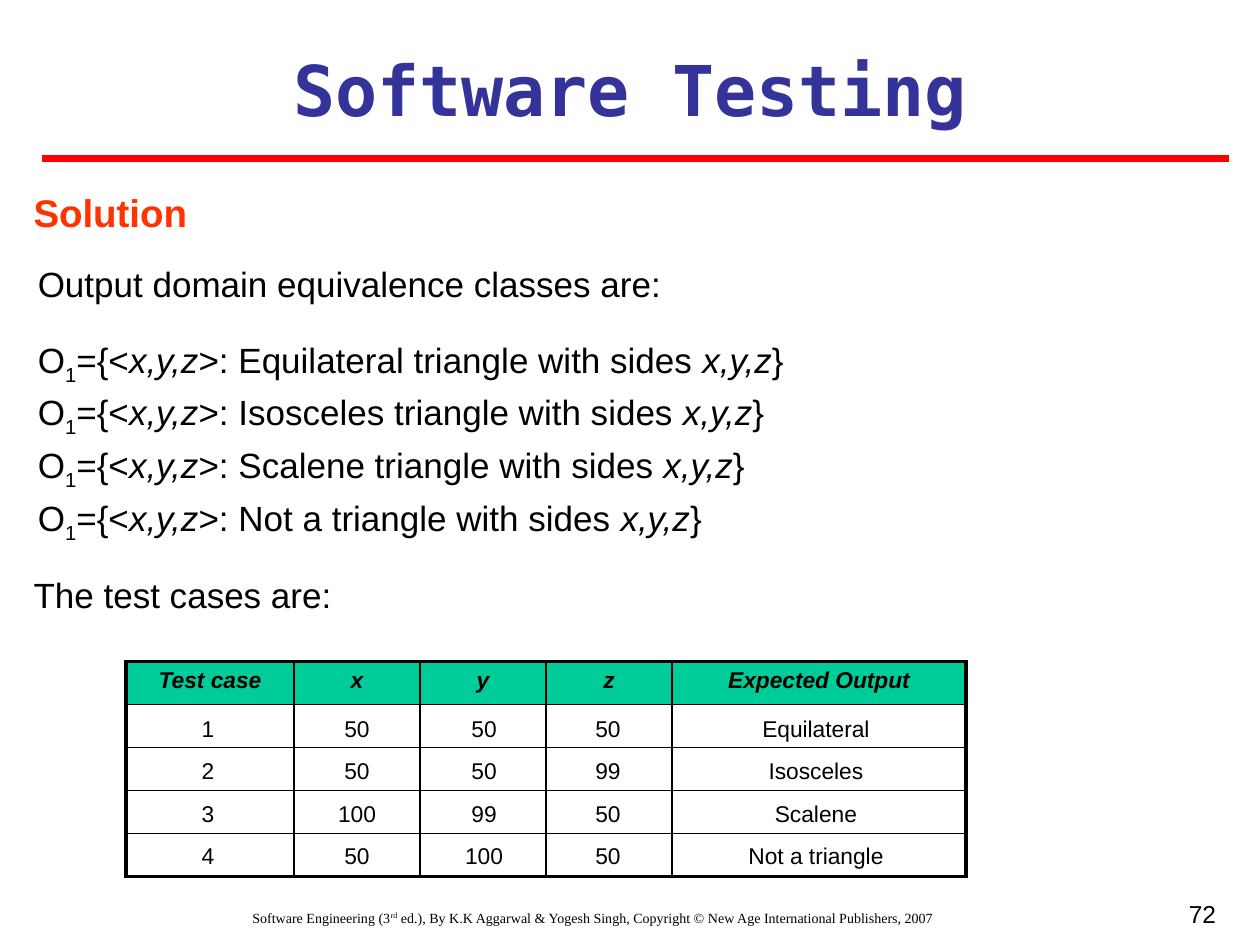
from lxml import etree
from pptx import Presentation, util as u
from pptx.dml.color import RGBColor
from pptx.enum import shapes, text
from pptx.oxml.ns import qn

BLACK = RGBColor(0x00, 0x00, 0x00)
BLUE = RGBColor(0x33, 0x33, 0x99)
RED = RGBColor(0xFF, 0x00, 0x00)
ORANGE = RGBColor(0xFF, 0x33, 0x00)
GREEN = RGBColor(0x00, 0xCC, 0x99)
LEFT, MID, RIGHT = text.PP_ALIGN.LEFT, text.PP_ALIGN.CENTER, text.PP_ALIGN.RIGHT

deck = Presentation()
deck.slide_width, deck.slide_height = u.Inches(10), u.Inches(7.5)
UNIT = deck.slide_width / 120  # the slide is a grid of 120 columns and 90 rows


def grid(*marks):
    return [round(mark * UNIT) for mark in marks]


def write(para, runs, size, color=BLACK, font="Arial", align=LEFT, bold=False):
    """Add (text, style) runs; a style is "", "i", or a baseline shift in percent."""
    para.alignment = align
    for words, style in runs:
        run = para.add_run()
        run.text = words
        run.font.size, run.font.name = u.Pt(size), font
        run.font.color.rgb = color
        run.font.bold, run.font.italic = bold, style == "i"
        if isinstance(style, int):
            run.font._element.set("baseline", str(style * 1000))


slide = deck.slides.add_slide(deck.slide_layouts[5])

# Title
title = slide.shapes.title
title.left, title.top, title.width, title.height = grid(4, 3.8, 112, 9.2)
frame = title.text_frame
frame.vertical_anchor = text.MSO_ANCHOR.TOP
frame.auto_size = text.MSO_AUTO_SIZE.SHAPE_TO_FIT_TEXT
write(frame.paragraphs[0], [("Software Testing", "")], 40, BLUE,
      "DejaVu Sans Mono", MID, True)

# Rule under the title
rule = slide.shapes.add_connector(shapes.MSO_CONNECTOR.STRAIGHT, *grid(4, 15.1, 117, 15.1))
rule.line.color.rgb, rule.line.width = RED, u.Pt(4.5)
etree.SubElement(rule._element.spPr, qn("a:effectLst"))

# Footer and page number
foot = [("Software Engineering (3", ""), ("rd", 30),
        (" ed.), By K.K Aggarwal & Yogesh Singh, Copyright © "
         "New Age International Publishers, 2007", "")]
for place, runs, size, font, align in (
    ((3, 86, 107, 4), foot, 8, "Times New Roman", MID),
    ((89, 85, 28, 7), [("72", "")], 14, "Arial", RIGHT),
):
    frame = slide.shapes.add_textbox(*grid(*place)).text_frame
    frame.word_wrap = True
    write(frame.paragraphs[0], runs, size, BLACK, font, align)

# Body lines and table values: place, paragraphs, size, colour, alignment, bold
kinds = ("Equilateral", "Isosceles", "Scalene", "Not a triangle")
domains = [
    [("O", ""), ("1", -25), ("={<", ""), ("x,y,z", "i"),
     (f">: {kind} triangle with sides " if kind != kinds[-1]
      else f">: {kind} with sides ", ""),
     ("x,y,z", "i"), ("}", "")]
    for kind in kinds
]
boxes = [
    ((3.2, 18, 111.4, 4.4), [[("Solution", "")]], 22, ORANGE, LEFT, True),
    ((3.6, 25, 111.4, 4), [[("Output domain equivalence classes are:", "")]],
     20, BLACK, LEFT, False),
    ((3.6, 33, 111.4, 17.2), domains, 20, BLACK, LEFT, False),
    ((3.2, 54.6, 111.4, 4), [[("The test cases are:", "")]], 20, BLACK, LEFT, False),
]
sides = ((50, 50, 50), (50, 50, 99), (100, 99, 50), (50, 100, 50))
spots = ((15.3, 9), (29.5, 9), (41.6, 9), (53.4, 9), (65.9, 23.6))
for row, (kind, trio) in enumerate(zip(kinds, sides)):
    for (left, width), value in zip(spots, (row + 1, *trio, kind)):
        boxes.append(((left, 68.05 + 4.05 * row, width, 2.6), [[(str(value), "")]],
                      13, BLACK, MID, False))

# Table grid with its header row
cols, rows = (16, 12, 12, 12, 28), 5
table = slide.shapes.add_table(rows, len(cols), *grid(12, 63, sum(cols), 4.1 * rows)).table
table.first_row = table.horz_banding = False
heads = ("Test case", "x", "y", "z", "Expected Output")
for col, width in zip(table.columns, grid(*cols)):
    col.width = width
for y in range(rows):
    for x in range(len(cols)):
        cell = table.cell(y, x)
        edges = {"L": x == 0, "R": x == len(cols) - 1, "T": y == 0, "B": y == rows - 1}
        props = cell._tc.get_or_add_tcPr()
        for side, outer in edges.items():
            line = etree.SubElement(props, qn(f"a:ln{side}"), w=str(u.Pt(2.25 if outer else 1)))
            fill = etree.SubElement(line, qn("a:solidFill"))
            etree.SubElement(fill, qn("a:srgbClr"), val=str(BLACK))
        if y == 0:
            cell.fill.solid()
            cell.fill.fore_color.rgb = GREEN
            write(cell.text_frame.paragraphs[0], [(heads[x], "i")], 13, align=MID, bold=True)
        else:
            cell.fill.background()
            cell.margin_top = cell.margin_bottom = 0

# Text over the slide and the table grid
for place, paras, size, color, align, bold in boxes:
    frame = slide.shapes.add_textbox(*grid(*place)).text_frame
    frame.word_wrap = True
    frame.auto_size = text.MSO_AUTO_SIZE.SHAPE_TO_FIT_TEXT
    frame.margin_left = frame.margin_right = frame.margin_top = frame.margin_bottom = 0
    for n, runs in enumerate(paras):
        para = frame.add_paragraph() if n else frame.paragraphs[0]
        if n:
            para.space_before = u.Pt(11)
        if len(paras) > 1:
            para.line_spacing = 0.7
        write(para, runs, size, color, align=align, bold=bold)

deck.save("out.pptx")
